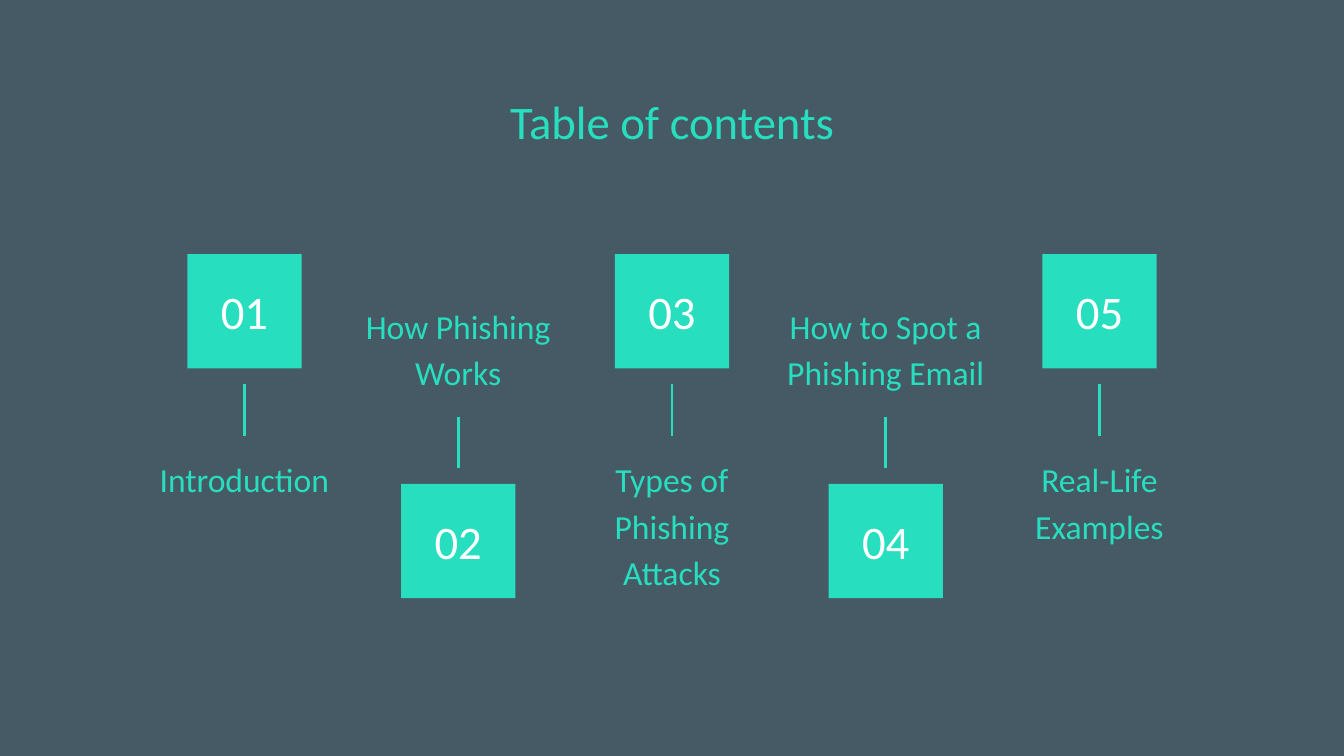
from pptx import Presentation
from pptx import util as u
from pptx.dml.color import RGBColor
from pptx.enum import shapes, text
from pptx.oxml.ns import qn
from lxml import etree

COLORS = {"background": "455A64", "accent": "27DEBF", "number": "FFFFFF"}
CHAPTERS = [
    "Introduction",
    "How Phishing Works",
    "Types of Phishing Attacks",
    "How to Spot a Phishing Email",
    "Real-Life Examples",
]
CENTER, PITCH = 12.7, 4.04
SQUARE, LABEL_WIDTH, TICK = 2.16, 4.27, 0.97
HIGH = {"square": 4.8, "tick": 7.26, "label": 8.31, "label_height": 1.14}
LOW = {"square": 9.14, "tick": 7.87, "label": 5.41, "label_height": 2.39}


class ContentsSlide:
    font = "Calibri"
    inset = u.Cm(0.25)

    def __init__(self, deck):
        self.slide = deck.slides.add_slide(deck.slide_layouts[5])
        fill = self.slide.background.fill
        fill.solid()
        fill.fore_color.rgb = self.color("background")

    def color(self, name):
        return RGBColor.from_string(COLORS[name])

    def set_text(self, box, words, size, color, anchor):
        frame = box.text_frame
        frame.word_wrap = True
        frame.auto_size = text.MSO_AUTO_SIZE.NONE
        frame.vertical_anchor = anchor
        frame.margin_left = frame.margin_right = self.inset
        frame.margin_top = frame.margin_bottom = self.inset
        para = frame.paragraphs[0]
        para.text = words
        para.alignment = text.PP_ALIGN.CENTER
        para.font.name = self.font
        para.font.size = u.Pt(size)
        para.font.color.rgb = self.color(color)
        return para

    def title(self, words, left, top, width, height):
        box = self.slide.shapes.title
        box.left, box.top = u.Cm(left), u.Cm(top)
        box.width, box.height = u.Cm(width), u.Cm(height)
        self.set_text(box, words, 25, "accent", text.MSO_ANCHOR.TOP)

    def square(self, words, center, top):
        box = self.slide.shapes.add_shape(
            shapes.MSO_SHAPE.RECTANGLE,
            u.Cm(center - SQUARE / 2), u.Cm(top), u.Cm(SQUARE), u.Cm(SQUARE))
        box.shadow.inherit = False
        box.fill.solid()
        box.fill.fore_color.rgb = self.color("accent")
        box.line.fill.background()
        self.set_text(box, words, 25, "number", text.MSO_ANCHOR.MIDDLE)

    def tick(self, center, top):
        line = self.slide.shapes.add_connector(
            shapes.MSO_CONNECTOR.STRAIGHT,
            u.Cm(center), u.Cm(top), u.Cm(center), u.Cm(top + TICK))
        line.line.color.rgb = self.color("accent")
        line.line.width = u.Pt(1.5)
        etree.SubElement(line._element.spPr, qn("a:effectLst"))

    def label(self, words, center, top, height):
        box = self.slide.shapes.add_textbox(
            u.Cm(center - LABEL_WIDTH / 2), u.Cm(top),
            u.Cm(LABEL_WIDTH), u.Cm(height))
        para = self.set_text(box, words, 18, "accent", text.MSO_ANCHOR.TOP)
        para.line_spacing = 1.15
        para.space_after = u.Pt(12)


def main():
    deck = Presentation()
    deck.slide_width, deck.slide_height = u.Cm(25.4), u.Cm(14.28)
    page = ContentsSlide(deck)
    page.title("Table of contents", 1.98, 1.5, 21.44, 1.52)
    for index, chapter in enumerate(CHAPTERS):
        center = CENTER + (index - 2) * PITCH
        row = LOW if index % 2 else HIGH
        page.square(f"{index + 1:02}", center, row["square"])
        page.tick(center, row["tick"])
        page.label(chapter, center, row["label"], row["label_height"])
    deck.save("out.pptx")


if __name__ == "__main__":
    main()
